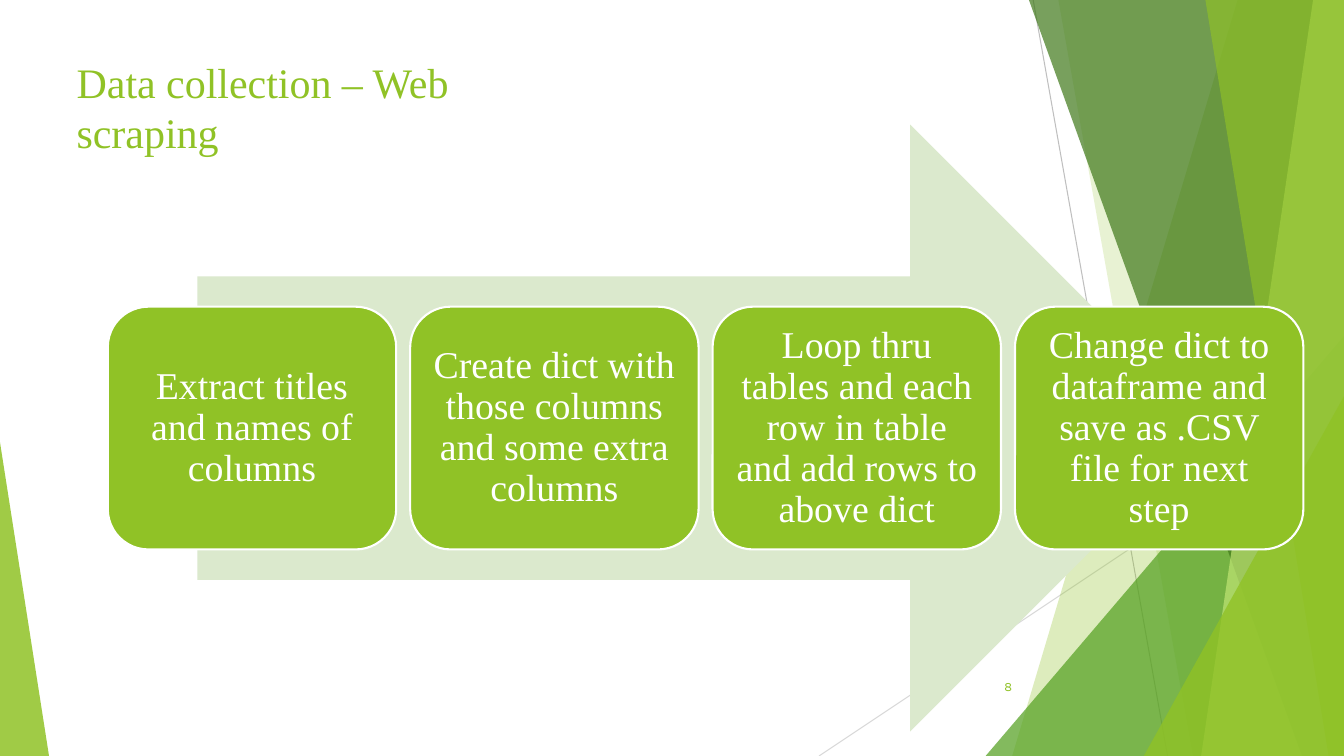
from lxml import etree
from pptx import Presentation
from pptx.dml.color import RGBColor
from pptx.enum.shapes import MSO_CONNECTOR, MSO_SHAPE
from pptx.enum.text import MSO_ANCHOR, PP_ALIGN
from pptx.oxml.ns import qn
from pptx.util import Pt

WIDTH, HEIGHT = 960, 540
GREEN, WHITE = "90C226", "FFFFFF"
SERIF = "Times New Roman"
STEPS = [
    "Extract titles and names of columns",
    "Create dict with those columns and some extra columns",
    "Loop thru tables and each row in table and add rows to above dict",
    "Change dict to dataframe and save as .CSV file for next step",
]


def color(hex_string):
    return RGBColor.from_string(hex_string)


def paint(shape, fill, opacity=100):
    shape.shadow.inherit = False
    shape.fill.solid()
    shape.fill.fore_color.rgb = color(fill)
    shape.line.fill.background()
    if opacity < 100:
        solid = shape.fill._xPr.find(qn("a:solidFill"))
        etree.SubElement(solid[0], qn("a:alpha"), val=str(opacity * 1000))


def add_preset(slide, preset, box, fill, opacity=100):
    shape = slide.shapes.add_shape(preset, *map(Pt, box))
    paint(shape, fill, opacity)
    return shape


def write(paragraph, text, size, font, hex_string):
    run = paragraph.add_run()
    run.text = text
    run.font.size = Pt(size)
    run.font.name = font
    run.font.color.rgb = color(hex_string)


def add_thin_line(slide, start, end, hex_string):
    line = slide.shapes.add_connector(MSO_CONNECTOR.STRAIGHT, *map(Pt, start + end))
    line.line.color.rgb = color(hex_string)
    line.line.width = Pt(0.75)
    etree.SubElement(line._element.spPr, qn("a:effectLst"))


def add_band(slide, right, top_left, bottom_left, fill, opacity):
    """A full-height band from a slanted left edge to the right side."""
    builder = slide.shapes.build_freeform(top_left, 0, scale=Pt(1))
    builder.add_line_segments([(right, 0), (right, HEIGHT), (bottom_left, HEIGHT)])
    paint(builder.convert_to_shape(), fill, opacity)


def add_corner(slide, box, tip, fill, opacity):
    triangle = add_preset(slide, MSO_SHAPE.ISOSCELES_TRIANGLE, box, fill, opacity)
    triangle.adjustments[0] = tip


def add_facets(slide, left, top, width, height):
    """Overlapping translucent facets along the slide edges."""
    right, bottom = left + width, top + height
    add_thin_line(slide, (738, top), (834, bottom), "BFBFBF")
    add_thin_line(slide, (right, 290), (585, bottom), "D9D9D9")
    add_band(slide, right, 884, 723, GREEN, 30)
    add_band(slide, right, 756, 852, GREEN, 20)
    add_corner(slide, (right - 256, bottom - 300, 256, 300), 1, "54A021", 72)
    add_band(slide, right, 735, 930, "3F7819", 70)
    add_band(slide, right, 938, 858, "C0E474", 70)
    add_band(slide, right, 861, 949, GREEN, 65)
    add_corner(slide, (right - 143, bottom - 257, 143, 257), 1, GREEN, 80)
    add_corner(slide, (left, bottom - 224, 35, 224), 0, GREEN, 85)


def add_title(slide, left, top, width, height):
    title = slide.shapes.title
    title.left, title.top, title.width, title.height = map(Pt, (left, top, width, height))
    frame = title.text_frame
    frame.word_wrap = True
    frame.vertical_anchor = MSO_ANCHOR.BOTTOM
    paragraph = frame.paragraphs[0]
    paragraph.alignment = PP_ALIGN.LEFT
    write(paragraph, "Data collection – Web scraping", 30, SERIF, GREEN)


def add_page_number(slide, left, top, width, height):
    frame = slide.shapes.add_textbox(*map(Pt, (left, top, width, height))).text_frame
    frame.word_wrap = True
    frame.vertical_anchor = MSO_ANCHOR.MIDDLE
    paragraph = frame.paragraphs[0]
    paragraph.alignment = PP_ALIGN.RIGHT
    write(paragraph, "8", 9, "Karla", GREEN)


def add_step(slide, text, box):
    step = add_preset(slide, MSO_SHAPE.ROUNDED_RECTANGLE, box, GREEN)
    step.line.color.rgb = color(WHITE)
    step.line.width = Pt(1.5)
    frame = step.text_frame
    frame.word_wrap = True
    frame.vertical_anchor = MSO_ANCHOR.MIDDLE
    frame.margin_left = frame.margin_right = Pt(8)
    frame.margin_top = frame.margin_bottom = Pt(8)
    paragraph = frame.paragraphs[0]
    paragraph.alignment = PP_ALIGN.CENTER
    paragraph.line_spacing = 0.9
    write(paragraph, text, 27, SERIF, WHITE)


def add_process(slide, left, top, width, height):
    """Equal steps in a row across a wide arrow."""
    inset = 0.075 * width
    add_preset(slide, MSO_SHAPE.RIGHT_ARROW,
               (left + inset, top, width - 2 * inset, height), "DBE9CD")
    gap = 10
    step_width = (width - gap * (len(STEPS) - 1)) / len(STEPS)
    step_height = 0.4 * height
    step_top = top + (height - step_height) / 2
    for index, text in enumerate(STEPS):
        step_left = left + index * (step_width + gap)
        add_step(slide, text, (step_left, step_top, step_width, step_height))


def main():
    presentation = Presentation()
    presentation.slide_width, presentation.slide_height = Pt(WIDTH), Pt(HEIGHT)
    slide = presentation.slides.add_slide(presentation.slide_layouts[5])
    add_facets(slide, 0, 0, WIDTH, HEIGHT)
    add_title(slide, 47.5, 15, 304, 101)
    add_page_number(slide, 676, 476, 54, 29)
    add_process(slide, 77, 89, 854, 433.5)
    presentation.save("out.pptx")


if __name__ == "__main__":
    main()
